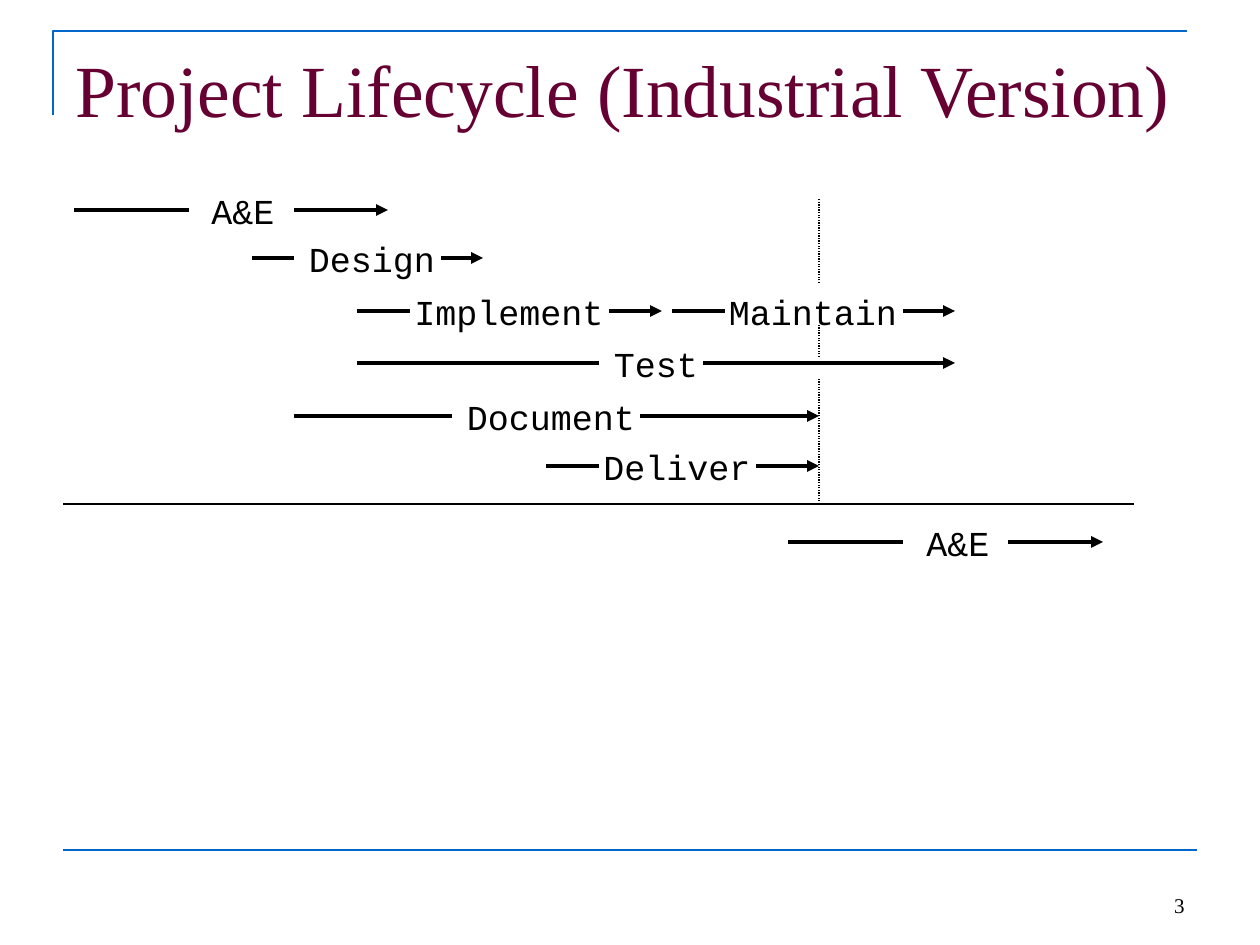
from dataclasses import dataclass

from lxml.etree import SubElement
from pptx import Presentation
from pptx.dml.color import RGBColor
from pptx.enum.dml import MSO_LINE
from pptx.enum.shapes import MSO_CONNECTOR
from pptx.enum.text import MSO_ANCHOR, MSO_AUTO_SIZE, PP_ALIGN
from pptx.oxml.ns import qn
from pptx.util import Pt

PX = 914400 // 126


@dataclass(frozen=True)
class Theme:
    accent: RGBColor = RGBColor(0x00, 0x66, 0xCC)
    title: RGBColor = RGBColor(0x66, 0x00, 0x33)
    ink: RGBColor = RGBColor(0, 0, 0)
    serif: str = "Times New Roman"
    mono: str = "Courier New"
    title_pt: float = 42
    label_pt: float = 20
    number_pt: float = 12
    rule_pt: float = 1.5
    arrow_pt: float = 2.25
    guide_pt: float = 0.75


T = Theme()

# name, row y, arrow start, label left, label right, arrow end, label box left
PHASES = [
    ("A&E", 26, 11, 126, 231, 325, 136),
    ("Design", 74, 189, 231, 378, 420, 199),
    ("Implement", 127, 294, 347, 546, 599, 336),
    ("Maintain", 127, 609, 662, 840, 892, 640),
    ("Test", 179, 294, 536, 640, 892, 483),
    ("Document", 232, 231, 389, 577, 756, 378),
    ("Deliver", 282, 483, 536, 693, 756, 504),
    ("A&E", 358, 725, 840, 945, 1040, 851),
]


def add_line(s, x1, y1, x2, y2, color, width, head=False, dash=None):
    ln = s.shapes.add_connector(
        MSO_CONNECTOR.STRAIGHT, x1 * PX, y1 * PX, x2 * PX, y2 * PX)
    ln.line.color.rgb = color
    ln.line.width = Pt(width)
    if dash:
        ln.line.dash_style = dash
    if head:
        SubElement(ln.line._get_or_add_ln(), qn("a:tailEnd"), type="triangle")
    SubElement(ln._element.spPr, qn("a:effectLst"))


def add_text(s, box, text, font, size, color, align=PP_ALIGN.LEFT,
             anchor=MSO_ANCHOR.TOP, before=0, wrap=True):
    tf = s.shapes.add_textbox(*(v * PX for v in box)).text_frame
    tf.word_wrap = wrap
    tf.vertical_anchor = anchor
    tf.text = text
    p = tf.paragraphs[0]
    p.alignment = align
    p.space_before = Pt(before)
    f = p.runs[0].font
    f.name, f.size, f.color.rgb = font, Pt(size), color
    return tf


def add_header(s, x, y, w, h):
    """Corner rule with the title inside it."""
    fb = s.shapes.build_freeform(x * PX, (y + 84) * PX, scale=1.0)
    fb.add_line_segments([(x * PX, y * PX), ((x + w) * PX, y * PX)], close=False)
    sp = fb.convert_to_shape()
    sp.shadow.inherit = False
    sp.fill.background()
    sp.line.color.rgb = T.accent
    sp.line.width = Pt(T.rule_pt)
    add_text(s, (x + 10, y + 7, w, h), "Project Lifecycle (Industrial Version)",
             T.serif, T.title_pt, T.title, before=5)


def add_phase(s, x, y, name, row, start, left, right, end, label_x):
    """One activity: a line, its label, and an arrow."""
    short = name == "A&E"
    row += y
    tf = add_text(s, (x + label_x, row - 27, 88 if short else 220, 55), name,
                  T.mono, T.label_pt, T.ink, before=5, wrap=not short,
                  align=PP_ALIGN.LEFT if short else PP_ALIGN.CENTER)
    tf.auto_size = MSO_AUTO_SIZE.SHAPE_TO_FIT_TEXT
    add_line(s, x + start, row, x + left, row, T.ink, T.arrow_pt)
    add_line(s, x + right, row, x + end, row, T.ink, T.arrow_pt, head=True)


def add_timeline(s, x, y, w):
    for phase in PHASES:
        add_phase(s, x, y, *phase)
    for top, bottom in ((15, 99), (141, 173), (194, 320)):
        add_line(s, x + 756, y + bottom, x + 756, y + top, T.ink, T.guide_pt,
                 dash=MSO_LINE.ROUND_DOT)
    add_line(s, x + w, y + 320, x, y + 320, T.ink, T.guide_pt)


def add_footer(s, x, y, w):
    add_line(s, x, y, x + w, y, T.accent, T.rule_pt)
    add_text(s, (x + w - 294, y + 11, 294, 63), "3", T.serif, T.number_pt,
             T.ink, align=PP_ALIGN.RIGHT, anchor=MSO_ANCHOR.BOTTOM)


def main():
    prs = Presentation()
    prs.slide_width, prs.slide_height = 1260 * PX, 945 * PX
    s = prs.slides.add_slide(prs.slide_layouts[6])
    add_header(s, 53, 31, 1134, 157)
    add_timeline(s, 63, 184, 1071)
    add_footer(s, 63, 850, 1134)
    prs.save("out.pptx")


if __name__ == "__main__":
    main()
